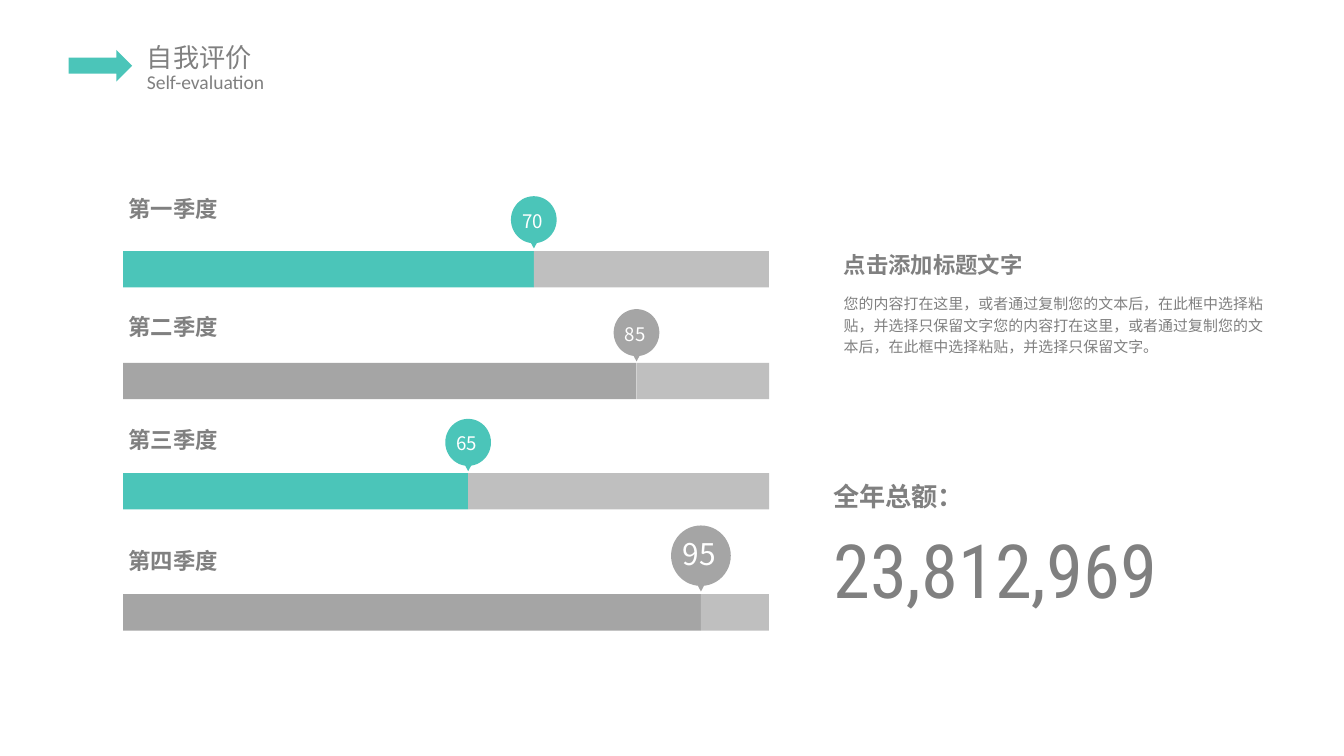
from lxml import etree
from pptx import Presentation
from pptx.dml.color import RGBColor
from pptx.enum import shapes, text
from pptx.oxml import ns
from pptx.util import Pt

TEAL, GRAY, TRACK, INK, WHITE = "4BC5B9", "A5A5A5", "BFBFBF", "808080", "FFFFFF"
CJK, LATIN, NUMERIC = "Noto Sans CJK SC", "Calibri", "Roboto Condensed"

TITLE, SUBTITLE = "自我评价", "Self-evaluation"
# name, score, colour, end of the filled bar, tops of label, pin and bar
QUARTERS = [
    ("第一季度", "70", TEAL, 286, 100.8, 105.1, 134.5),
    ("第二季度", "85", GRAY, 341, 164.2, 165.6, 194.4),
    ("第三季度", "65", TEAL, 250.8, 224.6, 224.4, 253.5),
    ("第四季度", "95", GRAY, 375.5, 289.4, 281.5, 318.4),
]
BODY = ("您的内容打在这里，或者通过复制您的文本后，在此框中选择粘贴，"
        "并选择只保留文字您的内容打在这里，或者通过复制您的文本后，"
        "在此框中选择粘贴，并选择只保留文字。")
# text, left, top, width, height, size, bold, font, line spacing
SIDE_TEXTS = [
    ("点击添加标题文字", 447, 131.8, 234, 20, 12, True, CJK, None),
    (BODY, 447, 153.4, 236, 40, 8, False, CJK, 1.2),
    ("全年总额：", 441.4, 254.9, 234, 22, 14, True, CJK, None),
    ("23,812,969", 441.4, 277.9, 234, 54, 40, False, NUMERIC, None),
]
BAR_LEFT, BAR_RIGHT, BAR_HEIGHT = 66, 412, 19.5
# pin width and height, tip offset, width and height, text offset and size
SMALL_PIN = (24.5, 25.2, 18, 10.8, 10, 3.6, 10)
LARGE_PIN = (32, 32.4, 22.4, 13.6, 13, 2.2, 16)


def color(value):
    return RGBColor.from_string(value)


def add_block(kind, left, top, width, height, fill):
    shape = slide.shapes.add_shape(kind, Pt(left), Pt(top), Pt(width), Pt(height))
    shape.shadow.inherit = False
    shape.fill.solid()
    shape.fill.fore_color.rgb = color(fill)
    shape.line.fill.background()
    return shape


def write(shape, wording, size, font=CJK, ink=INK, bold=False, inset=(7.2, 3.6),
          align=text.PP_ALIGN.LEFT, spacing=None):
    frame = shape.text_frame
    frame.text = wording
    frame.word_wrap = True
    frame.auto_size = text.MSO_AUTO_SIZE.NONE
    frame.vertical_anchor = text.MSO_ANCHOR.TOP
    frame.margin_left = frame.margin_right = Pt(inset[0])
    frame.margin_top = frame.margin_bottom = Pt(inset[1])
    paragraph = frame.paragraphs[0]
    paragraph.alignment = align
    if spacing:
        paragraph.line_spacing = spacing
    run = paragraph.runs[0]
    run.font.size, run.font.bold, run.font.name = Pt(size), bold, font
    run.font.color.rgb = color(ink)
    east_asian = etree.SubElement(run.font._element, ns.qn("a:ea"))
    east_asian.set("typeface", font)


def add_text(wording, left, top, width, height, size, **style):
    box = slide.shapes.add_textbox(Pt(left), Pt(top), Pt(width), Pt(height))
    write(box, wording, size, **style)


def add_pin(score, center, top, fill):
    pin = LARGE_PIN if score == "95" else SMALL_PIN
    width, height, tip_offset, tip_width, tip_height, text_offset, size = pin
    add_block(shapes.MSO_SHAPE.OVAL, center - width / 2, top, width, height, fill)
    tip = add_block(shapes.MSO_SHAPE.ISOSCELES_TRIANGLE, center - tip_width / 2,
                    top + tip_offset, tip_width, tip_height, fill)
    tip.rotation = 180
    add_text(score, center - 18.5, top + text_offset, 35.5, height, size,
             ink=WHITE, align=text.PP_ALIGN.CENTER)


presentation = Presentation()
presentation.slide_width, presentation.slide_height = Pt(720), Pt(405)
slide = presentation.slides.add_slide(presentation.slide_layouts[5])

title = slide.shapes.title
title.left, title.top, title.width, title.height = Pt(70.8), Pt(18.7), Pt(90), Pt(24.5)
write(title, TITLE, 14, inset=(7.9, 3.6))
add_text(SUBTITLE, 70.8, 34, 90, 20, 10.5, font=LATIN, inset=(7.9, 3.6))
add_block(shapes.MSO_SHAPE.RIGHT_ARROW, 36.8, 26.7, 34, 17, TEAL)

for name, score, fill, split, label_top, pin_top, bar_top in QUARTERS:
    for left, right, bar_fill in ((BAR_LEFT, split, fill), (split, BAR_RIGHT, TRACK)):
        add_block(shapes.MSO_SHAPE.RECTANGLE, left, bar_top, right - left,
                  BAR_HEIGHT, bar_fill)
    add_text(name, 61.8, label_top, 114.5, 21.6, 12, bold=True)
    add_pin(score, split, pin_top, fill)

for wording, left, top, width, height, size, bold, font, spacing in SIDE_TEXTS:
    add_text(wording, left, top, width, height, size, bold=bold, font=font,
             spacing=spacing, inset=(5, 2.7))

presentation.save("out.pptx")
